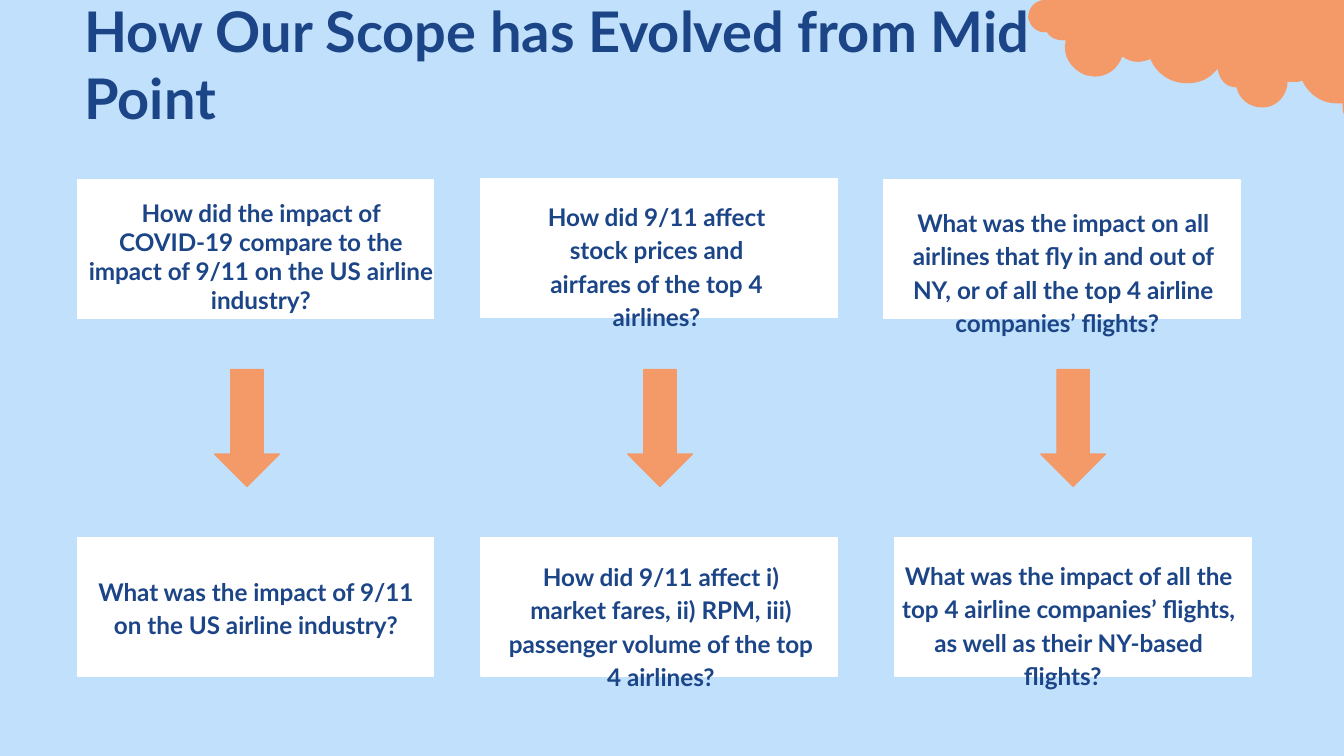
"""Build a slide showing how three research questions evolved."""
from lxml.etree import SubElement
from pptx import Presentation
from pptx.dml.color import RGBColor
from pptx.enum.shapes import MSO_SHAPE as SHAPE
from pptx.enum.text import MSO_ANCHOR as ANCHOR, PP_ALIGN as ALIGN
from pptx.oxml.ns import qn
from pptx.util import Pt

NAVY, ORANGE, WHITE, SKY = "1C4587", "F49968", "FFFFFF", "C1E0FB"
BOX_W, BOX_H, BOX_X, BOX_STEP = 190.8, 74.2, 41.6, 216
ARROW_X, ARROW_Y, ARROW_STEP = 115, 198, 221.3

QUESTIONS = [
    ("How did the impact of COVID-19 compare to the impact of 9/11 on the US airline industry?",
     (38.2, 98.9, 203, 62.6), 1.0),
    ("How did 9/11 affect stock prices and airfares of the top 4 airlines?",
     (277.2, 98.6, 149, 62.6), 1.15),
    ("What was the impact on all airlines that fly in and out of NY, "
     "or of all the top 4 airline companies’ flights?  ", (470.9, 101.8, 197.3, 62.6), 1.15),
    ("What was the impact of 9/11 on the US airline industry?",
     (38.4, 299.5, 197.3, 62.6), 1.15),
    ("How did 9/11 affect i) market fares, ii) RPM, iii) passenger volume of the top 4 airlines?",
     (262.6, 291.6, 182.9, 62.6), 1.15),
    ("What was the impact of all the top 4 airline companies’ flights, "
     "as well as their NY-based flights?  ", (473.8, 290.9, 197.3, 68.4), 1.15),
]

CLOUD_UNIT = 0.72
CLOUD_START = (1015, 95)
CLOUD_SEGMENTS = [
    (1006, 95, 999, 88, 999, 80), (999, 79, 999, 78, 999, 77),
    (998, 77, 997, 77, 995, 77), (984, 77, 974, 71, 969, 60),
    (967, 61, 965, 61, 963, 61), (962, 61, 960, 61, 958, 61),
    (958, 70, 951, 79, 941, 80), (940, 80, 939, 80, 939, 80),
    (930, 80, 922, 74, 920, 65), (912, 65, 907, 59, 906, 51),
    (900, 59, 892, 62, 883, 62), (872, 62, 861, 56, 856, 44),
    (853, 45, 850, 46, 847, 46), (843, 46, 839, 45, 835, 42),
    (832, 51, 824, 57, 815, 57), (812, 57, 810, 56, 808, 56),
    (797, 52, 790, 41, 793, 30), (792, 30, 791, 30, 791, 30),
    (786, 30, 781, 28, 779, 24), (778, 24, 778, 24, 777, 24),
    (771, 24, 766, 19, 765, 13), (765, 7, 769, 1, 776, 0),
    (1030, 0), (1030, 76),
    (1030, 78, 1030, 79, 1030, 80), (1030, 88, 1023, 95, 1015, 95),
]


def rgb(color):
    """Turn a hex string into a colour."""
    return RGBColor.from_string(color)


def paint(sp, color, outlined=True):
    """Give a shape one flat colour and no shadow."""
    sp.shadow.inherit = False
    sp.fill.solid()
    sp.fill.fore_color.rgb = rgb(color)
    if outlined:
        sp.line.color.rgb = rgb(color)
        sp.line.width = Pt(0.75)
    else:
        sp.line.fill.background()


def add_block(s, kind, color, *frame):
    """Add a preset shape with matching fill and line."""
    paint(s.shapes.add_shape(kind, *map(Pt, frame)), color)


def add_text(s, text, frame, size, anchor=ANCHOR.TOP, **layout):
    """Add a wrapped text box with one bold paragraph."""
    tf = s.shapes.add_textbox(*map(Pt, frame)).text_frame
    sides = ("left", "top", "right", "bottom")
    margins = {f"margin_{side}": Pt(7.2) for side in sides}
    for name, value in {"word_wrap": True, "vertical_anchor": anchor, **margins}.items():
        setattr(tf, name, value)
    p = tf.paragraphs[0]
    for name, value in layout.items():
        setattr(p, name, value)
    r = p.add_run()
    r.text = text
    for name, value in {"name": "Lato", "size": Pt(size), "bold": True}.items():
        setattr(r.font, name, value)
    r.font.color.rgb = rgb(NAVY)


def cloud_points(numbers):
    """Pair up cloud coordinates as lengths."""
    lengths = [Pt(n * CLOUD_UNIT) for n in numbers]
    return list(zip(lengths[::2], lengths[1::2]))


def bend(sp, segments):
    """Turn the straight segments that have control points into curves."""
    for line, segment in zip(sp._element.xpath(".//a:lnTo"), segments):
        if len(segment) == 6:
            line.clear()
            line.tag = qn("a:cubicBezTo")
            for x, y in cloud_points(segment):
                SubElement(line, qn("a:pt"), x=str(x - sp.left), y=str(y - sp.top))


def add_cloud(s):
    """Draw the scalloped cloud in the top right corner."""
    outline = s.shapes.build_freeform(*cloud_points(CLOUD_START)[0])
    outline.add_line_segments([cloud_points(seg)[-1] for seg in CLOUD_SEGMENTS], close=True)
    sp = outline.convert_to_shape()
    bend(sp, CLOUD_SEGMENTS)
    paint(sp, ORANGE, outlined=False)


def main():
    """Build and save the slide."""
    prs = Presentation()
    prs.slide_width, prs.slide_height = Pt(720), Pt(405)
    s = prs.slides.add_slide(prs.slide_layouts[6])
    s.background.fill.solid()
    s.background.fill.fore_color.rgb = rgb(SKY)

    for col, (top, shift) in enumerate([(96.4, 0), (95.8, 0), (96.4, 5.8)]):
        x = BOX_X + col * BOX_STEP
        add_block(s, SHAPE.RECTANGLE, WHITE, x, top, BOX_W, BOX_H)
        add_block(s, SHAPE.RECTANGLE, WHITE, x + shift, 288, BOX_W, BOX_H)
        add_block(s, SHAPE.DOWN_ARROW, ORANGE,
                  ARROW_X + col * ARROW_STEP, ARROW_Y, 34.6, 62.6)

    add_text(s, "How Our Scope has Evolved from Mid Point",
             (38.2, 31.7, 535.7, 45.4), 30, ANCHOR.BOTTOM)
    for text, frame, spacing in QUESTIONS:
        add_text(s, text, frame, 13, alignment=ALIGN.CENTER, line_spacing=spacing)
    add_cloud(s)
    prs.save("out.pptx")


if __name__ == "__main__":
    main()
